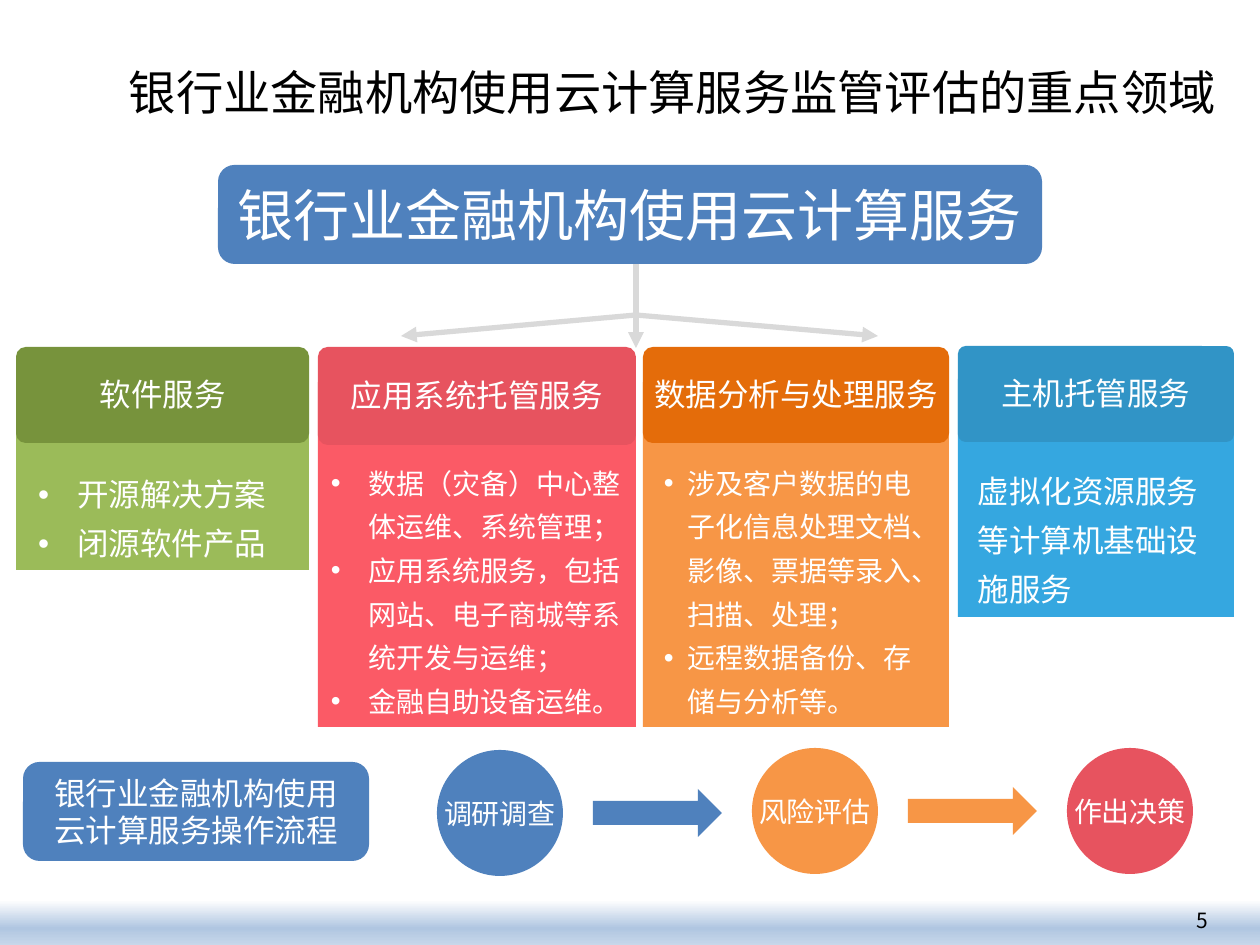
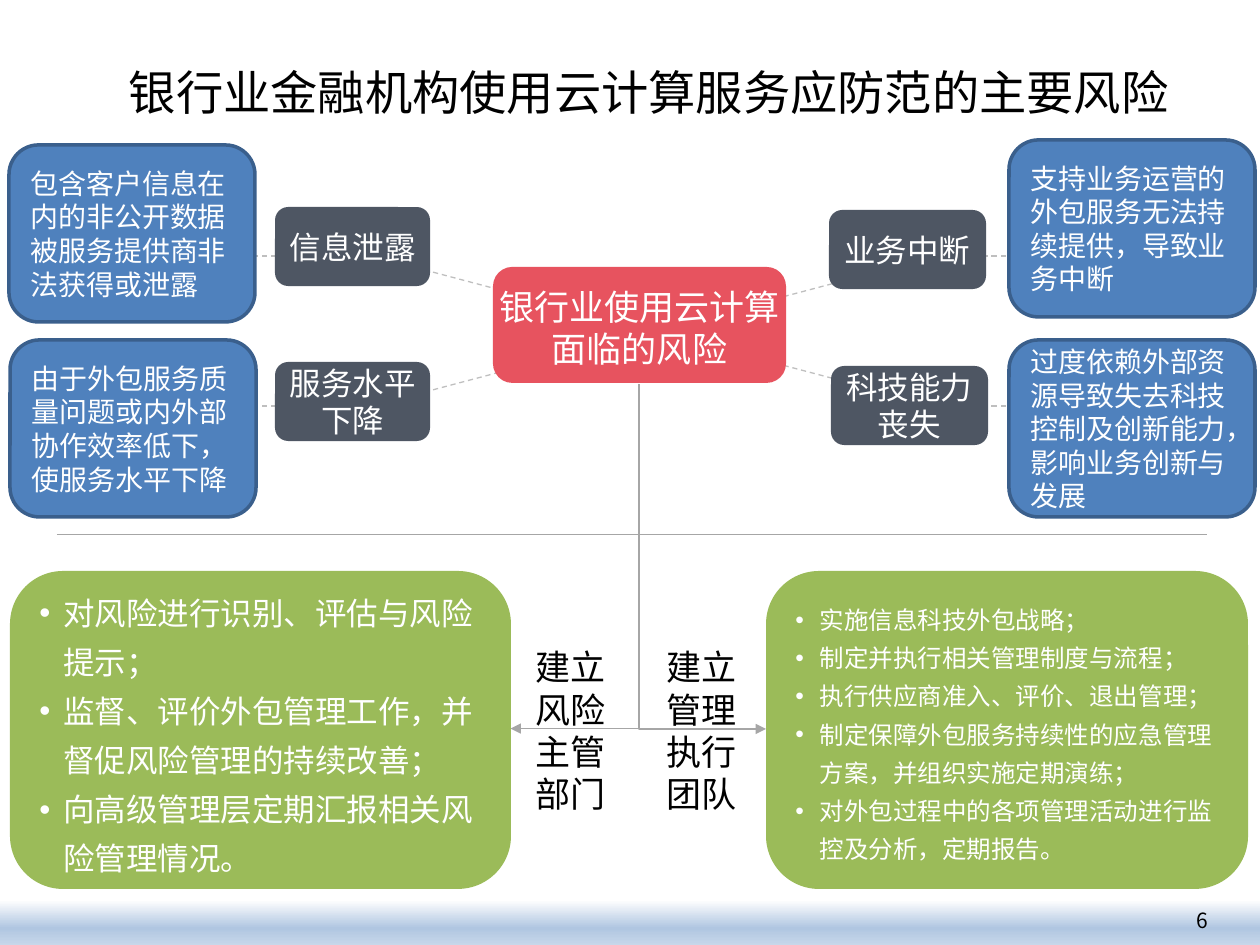
import pptx
import pptx.dml.color
import pptx.enum.dml
import pptx.enum.shapes
import pptx.enum.text
import pptx.oxml.ns
import pptx.util
from lxml import etree

RGB = pptx.dml.color.RGBColor
SHAPES = pptx.enum.shapes.MSO_SHAPE
ALIGN = pptx.enum.text.PP_ALIGN
ANCHOR = pptx.enum.text.MSO_ANCHOR
qn = pptx.oxml.ns.qn

EMU_PER_PX = 914400 / 126
FONT = "Noto Sans CJK SC"

WHITE = RGB(0xFF, 0xFF, 0xFF)
BLACK = RGB(0x00, 0x00, 0x00)
BLUE = RGB(0x4F, 0x81, 0xBD)
BLUE_EDGE = RGB(0x3A, 0x5F, 0x8C)
GREEN = RGB(0x9B, 0xBB, 0x59)
DARK_GREEN = RGB(0x77, 0x93, 0x3C)
PINK = RGB(0xFB, 0x5A, 0x66)
RED = RGB(0xE7, 0x53, 0x5F)
ORANGE = RGB(0xF7, 0x96, 0x46)
DARK_ORANGE = RGB(0xE4, 0x6C, 0x0A)
SKY = RGB(0x35, 0xA7, 0xE0)
DARK_SKY = RGB(0x31, 0x94, 0xC6)
SLATE = RGB(0x4E, 0x56, 0x63)
ARROW_GREY = RGB(0xD9, 0xD9, 0xD9)
DASH_GREY = RGB(0xBF, 0xBF, 0xBF)
RULE_GREY = RGB(0xA6, 0xA6, 0xA6)
BAND_STOPS = [(0, WHITE), (60, RGB(0xB0, 0xC6, 0xE1)), (100, RGB(0xCA, 0xD9, 0xEB))]

DEFAULT_INSETS = (13, 6, 13, 6)  # left, top, right, bottom


def px(length):
    return pptx.util.Emu(round(length * EMU_PER_PX))


def apply_format(target, values):
    for name, value in values.items():
        setattr(target, name, value)


def add_xml(parent, tag, **attributes):
    return etree.SubElement(parent, qn(tag), attributes)


# Text

def write_text(shape, paragraphs, size, color=WHITE, align=ALIGN.CENTER,
               anchor=ANCHOR.MIDDLE, insets=DEFAULT_INSETS, wrap=True,
               line_spacing=None, indent=None, bullet=False):
    """Fill a shape with text; indent is (left margin, first-line offset) in px."""
    frame = shape.text_frame
    left, top, right, bottom = map(px, insets)
    apply_format(frame, {
        "word_wrap": wrap, "vertical_anchor": anchor,
        "margin_left": left, "margin_top": top,
        "margin_right": right, "margin_bottom": bottom,
    })
    for number, text in enumerate(paragraphs):
        paragraph = frame.add_paragraph() if number else frame.paragraphs[0]
        apply_format(paragraph, {"alignment": align, "line_spacing": line_spacing})
        properties = paragraph._p.get_or_add_pPr()
        if indent:
            properties.set("marL", str(px(indent[0])))
            properties.set("indent", str(px(indent[1])))
        if bullet:
            add_xml(properties, "a:buFont", typeface="Arial")
            add_xml(properties, "a:buChar", char="•")
        run = paragraph.add_run()
        run.text = text
        apply_format(run.font, {"size": pptx.util.Pt(size), "name": FONT})
        run.font.color.rgb = color
        add_xml(run._r.get_or_add_rPr(), "a:ea", typeface=FONT)


def add_text(slide, box, text, size, **text_format):
    text_box = slide.shapes.add_textbox(*map(px, box))
    write_text(text_box, [text], size, color=BLACK, **text_format)


# Shapes and lines

def add_block(slide, kind, box, fill, edge=None, corner=None):
    shape = slide.shapes.add_shape(kind, *map(px, box))
    shape.shadow.inherit = False
    shape.fill.solid()
    shape.fill.fore_color.rgb = fill
    if edge:
        shape.line.color.rgb = edge
        shape.line.width = pptx.util.Pt(2)
    else:
        shape.line.fill.background()
    if corner is not None:
        shape.adjustments[0] = corner
    return shape


def add_rounded(slide, box, fill, paragraphs, size, edge=None, corner=None, **text_format):
    shape = add_block(slide, SHAPES.ROUNDED_RECTANGLE, box, fill, edge, corner)
    write_text(shape, paragraphs, size, **text_format)


def add_line(slide, start, end, color, width, dashed=False, arrow=False,
             kind=pptx.enum.shapes.MSO_CONNECTOR.STRAIGHT):
    line = slide.shapes.add_connector(kind, *map(px, start + end))
    line.line.color.rgb = color
    line.line.width = pptx.util.Pt(width)
    if dashed:
        line.line.dash_style = pptx.enum.dml.MSO_LINE.DASH
    if arrow:
        add_xml(line.line._get_or_add_ln(), "a:tailEnd", type="triangle")
    add_xml(line._element.spPr, "a:effectLst")
    return line


def add_elbow(slide, start, end):
    """One-bend arrow that runs down from start, then sideways to end."""
    drop, side = end[1] - start[1], end[0] - start[0]
    left = (start[0] + end[0] - drop) // 2
    top = (start[1] + end[1] - abs(side)) // 2
    first, last = (left, left + drop) if side < 0 else (left + drop, left)
    line = add_line(slide, (first, top), (last, top + abs(side)), RULE_GREY, 0.75,
                    arrow=True, kind=pptx.enum.shapes.MSO_CONNECTOR.ELBOW)
    properties = line._element.spPr
    properties.find(qn("a:prstGeom")).set("prst", "bentConnector2")
    rotation = 90 if side < 0 else 270
    properties.find(qn("a:xfrm")).set("rot", str(rotation * 60000))


# Parts shared by the slides

def add_base_slide(presentation, title, page_number):
    slide = presentation.slides.add_slide(presentation.slide_layouts[6])
    band = add_block(slide, SHAPES.RECTANGLE, (0, 900, 1260, 47), WHITE)
    band.fill.gradient()
    band.fill.gradient_angle = 270
    stops = band._element.spPr.find(".//" + qn("a:gsLst"))
    for stop in list(stops):
        stops.remove(stop)
    for position, color in BAND_STOPS:
        stop = add_xml(stops, "a:gs", pos=str(position * 1000))
        add_xml(stop, "a:srgbClr", val=str(color))
    add_text(slide, (927, 895, 294, 50), str(page_number), 12, align=ALIGN.RIGHT)
    add_text(slide, (116, 38, 1134, 107), title, 27, align=ALIGN.LEFT)
    return slide


# Key areas

def add_service_card(slide, left, width, header_box, body_box, colors, title,
                     items, size, indent, bullet=True, corner=0.1):
    header_color, body_color = colors
    body = add_block(slide, SHAPES.RECTANGLE, (left, body_box[0], width, body_box[1]), body_color)
    below_header = 74 if size == 16 else 82
    write_text(body, items, size, align=ALIGN.LEFT, anchor=ANCHOR.TOP,
               insets=(13, below_header, 13, 6), line_spacing=1.3,
               indent=indent, bullet=bullet)
    add_rounded(slide, (left, header_box[0], width, header_box[1]), header_color,
                [title], 18, corner=corner, insets=(3, 3, 3, 6))


def build_key_areas(presentation):
    slide = add_base_slide(presentation, "银行业金融机构使用云计算服务监管评估的重点领域", 5)
    add_rounded(slide, (218, 165, 824, 99), BLUE, ["银行业金融机构使用云计算服务"], 32)

    # Branches to the service cards
    fork = (636, 315)
    for tip in [(636, 348), (401, 336), (878, 336)]:
        add_line(slide, fork, tip, ARROW_GREY, 3, arrow=True)
    add_line(slide, (636, 264), fork, ARROW_GREY, 3)

    # Service cards
    add_service_card(
        slide, 318, 318, (347, 98), (382, 345), (RED, PINK), "应用系统托管服务",
        ["数据（灾备）中心整体运维、系统管理；",
         "应用系统服务，包括网站、电子商城等系统开发与运维；",
         "金融自助设备运维。"], 16, (38, -38))
    add_service_card(
        slide, 16, 293, (347, 96), (382, 188), (DARK_GREEN, GREEN), "软件服务",
        ["开源解决方案", "闭源软件产品"], 18, (48, -39))
    add_service_card(
        slide, 958, 276, (346, 96), (379, 238), (DARK_SKY, SKY), "主机托管服务",
        ["虚拟化资源服务等计算机基础设施服务"], 18, (7, 0), bullet=False, corner=0.08)
    add_service_card(
        slide, 643, 306, (347, 96), (382, 345), (DARK_ORANGE, ORANGE), "数据分析与处理服务",
        ["涉及客户数据的电子化信息处理文档、影像、票据等录入、扫描、处理；",
         "远程数据备份、存储与分析等。"], 16, (32, -24))

    # Process steps
    add_rounded(slide, (23, 762, 346, 99), BLUE, ["银行业金融机构使用云计算服务操作流程"], 18)
    steps = [("调研调查", BLUE, 750), ("风险评估", ORANGE, 748), ("作出决策", RED, 748)]
    for number, (name, color, top) in enumerate(steps):
        left = 437 + 315 * number
        circle = add_block(slide, SHAPES.OVAL, (left, top, 126, 126), color)
        write_text(circle, [name], 16, insets=(0, 0, 0, 0), wrap=False)
        if number < len(steps) - 1:
            add_block(slide, SHAPES.RIGHT_ARROW, (left + 156, top + 39, 129, 48), color)


# Main risks

def build_main_risks(presentation):
    slide = add_base_slide(presentation, "银行业金融机构使用云计算服务应防范的主要风险", 6)

    # Dashed links, mirrored about the centre
    for outer_y, inner_y in [(256, 309), (406, 353)]:
        for ends in [(372, 572), (937, 737)]:
            add_line(slide, (ends[0], outer_y), (ends[1], inner_y), DASH_GREY, 0.75, dashed=True)
        for ends in [(1096, 931), (339, 174)]:
            add_line(slide, (ends[0], outer_y), (ends[1], outer_y), DASH_GREY, 0.75, dashed=True)

    # Central topic and risk names
    add_rounded(slide, (493, 267, 293, 116), RED, ["银行业使用云计算面临的风险"], 20,
                insets=(0, 6, 0, 0))
    risks = [("信息泄露", 275, 207, 155), ("服务水平下降", 275, 362, 155),
             ("业务中断", 829, 210, 157), ("科技能力丧失", 831, 366, 157)]
    for name, left, top, width in risks:
        add_rounded(slide, (left, top, width, 79), SLATE, [name], 18, insets=(4, 0, 4, 0))

    # Risk descriptions
    add_line(slide, (57, 534), (1207, 534), RULE_GREY, 0.25)
    descriptions = [
        (1009, 340, "过度依赖外部资源导致失去科技控制及创新能力，影响业务创新与发展"),
        (1009, 140, "支持业务运营的外包服务无法持续提供，导致业务中断"),
        (9, 145, "包含客户信息在内的非公开数据被服务提供商非法获得或泄露"),
        (10, 340, "由于外包服务质量问题或内外部协作效率低下，使服务水平下降"),
    ]
    for left, top, text in descriptions:
        add_rounded(slide, (left, top, 246, 177), BLUE, [text], 16,
                    edge=BLUE_EDGE, align=ALIGN.LEFT)

    # Responses
    for tip_x in (511, 766):
        add_elbow(slide, (639, 384), (tip_x, 729))
    duties = [
        (10, 501, 18, ["对风险进行识别、评估与风险提示；",
                       "监督、评价外包管理工作，并督促风险管理的持续改善；",
                       "向高级管理层定期汇报相关风险管理情况。"]),
        (766, 482, 14, ["实施信息科技外包战略；",
                        "制定并执行相关管理制度与流程；",
                        "执行供应商准入、评价、退出管理；",
                        "制定保障外包服务持续性的应急管理方案，并组织实施定期演练；",
                        "对外包过程中的各项管理活动进行监控及分析，定期报告。"]),
    ]
    for left, width, size, items in duties:
        add_rounded(slide, (left, 571, width, 318), GREEN, items, size, align=ALIGN.LEFT,
                    line_spacing=1.3, indent=(25, -24), bullet=True)
    for left, text in [(654, "建立管理执行团队"), (523, "建立风险主管部门")]:
        add_text(slide, (left, 631, 98, 198), text, 20, align=ALIGN.LEFT)


def main():
    presentation = pptx.Presentation()
    apply_format(presentation, {"slide_width": px(1260), "slide_height": px(945)})
    build_key_areas(presentation)
    build_main_risks(presentation)
    presentation.save("out.pptx")


if __name__ == "__main__":
    main()
